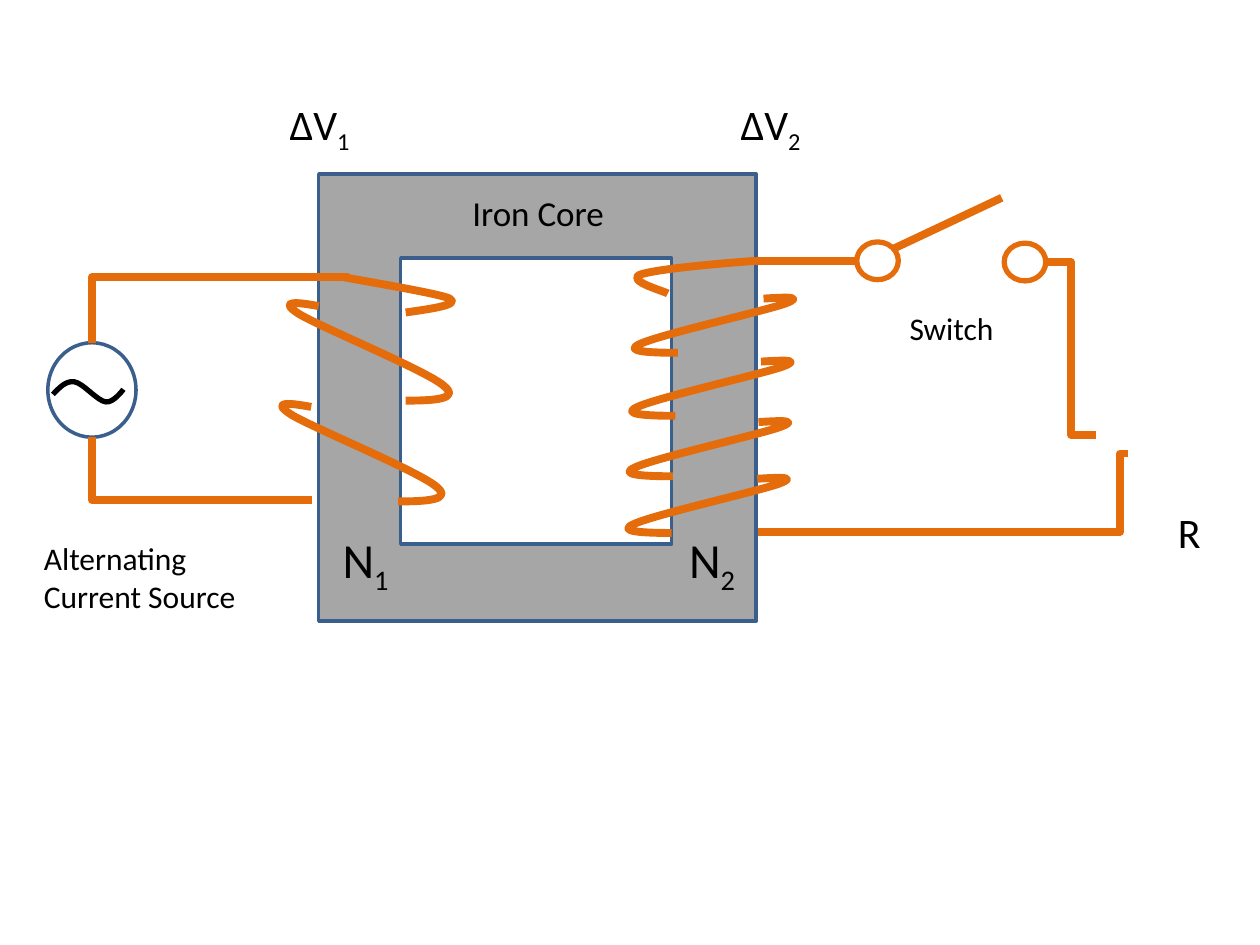
from pptx import Presentation
from pptx.dml.color import RGBColor
from pptx.enum.shapes import MSO_CONNECTOR as Link, MSO_SHAPE as Kind
from pptx.enum.text import MSO_AUTO_SIZE as Fit
from pptx.oxml.ns import qn
from pptx.util import Inches, Pt
from lxml.etree import SubElement

GREY = RGBColor(0xA6, 0xA6, 0xA6)
WHITE = RGBColor(0xFF, 0xFF, 0xFF)
BLUE = RGBColor(0x3A, 0x5F, 0x8C)
ORANGE = RGBColor(0xE4, 0x6C, 0x0A)
BLACK = RGBColor(0, 0, 0)
FONT = "Calibri"
WIRE = 4.5

CORE = [
    (Kind.RECTANGLE, (2.53, 1.38, 3.47, 3.55), GREY, BLUE, 2),
    (Kind.RECTANGLE, (3.18, 2.05, 2.15, 2.27), WHITE, BLUE, 2),
    (Kind.OVAL, (0.38, 2.72, 0.7, 0.75), WHITE, BLUE, 2),
]
POLES = [
    (Kind.OVAL, (left, top, 0.33, 0.3), WHITE, ORANGE, 3)
    for left, top in [(6.8, 1.92), (7.97, 1.93)]
]

SINE = [(0.42, 3.13), (0.47, 3.08), (0.52, 3.02), (0.59, 3.03), (0.66, 3.04),
        (0.77, 3.18), (0.84, 3.19), (0.9, 3.2), (0.98, 3.09), (0.98, 3.09)]
LEFT_TURN = [(2.53, 2.43), (2.37, 2.4), (2.2, 2.38), (2.37, 2.49), (2.53, 2.59),
             (3.38, 2.94), (3.52, 3.06), (3.66, 3.17), (3.44, 3.18), (3.22, 3.18)]
LEFT_END = [(3.22, 2.48), (3.43, 2.45), (3.65, 2.42), (3.57, 2.37),
            (3.49, 2.33), (2.88, 2.23), (2.73, 2.2)]
RIGHT_TURN = [(6.06, 2.37), (6.23, 2.36), (6.39, 2.35), (6.23, 2.41), (6.06, 2.47),
              (5.22, 2.66), (5.08, 2.73), (4.94, 2.79), (5.16, 2.8), (5.38, 2.8)]
RIGHT_END = [(6, 2.07), (5.6, 2.1), (5.2, 2.14), (5.08, 2.18),
             (4.97, 2.23), (5.27, 2.31), (5.3, 2.33)]
COILS = [
    (LEFT_TURN, [(0, 0), (-0.06, 0.8)]),
    (LEFT_END, [(0, 0)]),
    (RIGHT_TURN, [(0, 0), (-0.02, 0.5), (-0.04, 0.98), (-0.05, 1.43)]),
    (RIGHT_END, [(0, 0)]),
]

WIRES = [
    ("bentConnector2", (2.48, 3.97, 0.73, 3.47), None),
    ("bentConnector2", (2.77, 2.2, 0.73, 2.72), None),
    ("line", (6, 2.07, 6.8, 2.07), None),
    ("line", (7.1, 1.97, 7.95, 1.57), None),
    ("bentConnector3", (8.3, 2.08, 8.7, 3.45), 0.5),
    ("bentConnector3", (6.02, 4.22, 8.95, 3.6), 0.98),
]

LABELS = [
    (["N"], "1", (2.62, 4.15, 0.59, 0.57), 28),
    (["N"], "2", (5.37, 4.15, 0.59, 0.57), 28),
    (["Iron Core"], "", (3.65, 1.47, 1.25, 0.44), 20),
    (["ΔV"], "1", (2.2, 0.73, 0.71, 0.5), 24),
    (["ΔV"], "2", (5.78, 0.73, 0.71, 0.5), 24),
    (["Alternating", "Current Source"], "", (0.25, 4.23, 1.74, 0.71), 18),
    (["Switch"], "", (7.12, 2.4, 0.88, 0.4), 18),
    (["R"], "", (9.25, 3.97, 0.38, 0.5), 24),
]


def emu(nums):
    return [Inches(n) for n in nums]


def stroke(shape, color, width):
    shape.line.color.rgb = color
    shape.line.width = Pt(width)


def solid(shapes, kind, box, fill, color, width):
    shape = shapes.add_shape(kind, *emu(box))
    shape.shadow.inherit = False
    shape.fill.solid()
    shape.fill.fore_color.rgb = fill
    stroke(shape, color, width)


def curve(shapes, points, color, width, shift=(0, 0)):
    dx, dy = shift
    start, *rest = [emu((x + dx, y + dy)) for x, y in points]
    pen = shapes.build_freeform(*start)
    pen.add_line_segments(rest, close=False)
    shape = pen.convert_to_shape()
    shape.shadow.inherit = False
    shape.fill.background()
    stroke(shape, color, width)
    steps = shape._element.xpath(".//a:lnTo")
    for i in range(0, len(steps), 3):
        bend = SubElement(steps[i].getparent(), qn("a:cubicBezTo"))
        for step in steps[i:i + 3]:
            bend.append(step[0])
            step.getparent().remove(step)


def wire(shapes, form, ends, turn):
    kind = Link.STRAIGHT if form == "line" else Link.ELBOW
    link = shapes.add_connector(kind, *emu(ends))
    stroke(link, ORANGE, WIRE)
    SubElement(link._element.spPr, qn("a:effectLst"))
    geom = link._element.xpath(".//a:prstGeom")[0]
    geom.set("prst", form)
    if turn is not None:
        guide = SubElement(geom.find(qn("a:avLst")), qn("a:gd"))
        guide.set("name", "adj1")
        guide.set("fmla", f"val {round(turn * 100000)}")


def write(para, text, *, size, color=BLACK, sub=False):
    run = para.add_run()
    run.text = text
    run.font.name = FONT
    run.font.size = Pt(size)
    run.font.color.rgb = color
    if sub:
        run.font._element.set("baseline", "-25000")


def label(shapes, lines, sub, box, size):
    frame = shapes.add_textbox(*emu(box)).text_frame
    frame.word_wrap = False
    frame.auto_size = Fit.SHAPE_TO_FIT_TEXT
    for i, text in enumerate(lines):
        para = frame.add_paragraph() if i else frame.paragraphs[0]
        write(para, text, size=size)
    if sub:
        write(para, sub, size=size, sub=True)


def main():
    deck = Presentation()
    deck.slide_width, deck.slide_height = emu((10, 7.5))
    shapes = deck.slides.add_slide(deck.slide_layouts[6]).shapes
    for part in CORE:
        solid(shapes, *part)
    curve(shapes, SINE, BLACK, 3)
    for points, shifts in COILS:
        for shift in shifts:
            curve(shapes, points, ORANGE, WIRE, shift)
    for part in POLES:
        solid(shapes, *part)
    for part in WIRES:
        wire(shapes, *part)
    for part in LABELS:
        label(shapes, *part)
    deck.save("out.pptx")


if __name__ == "__main__":
    main()
